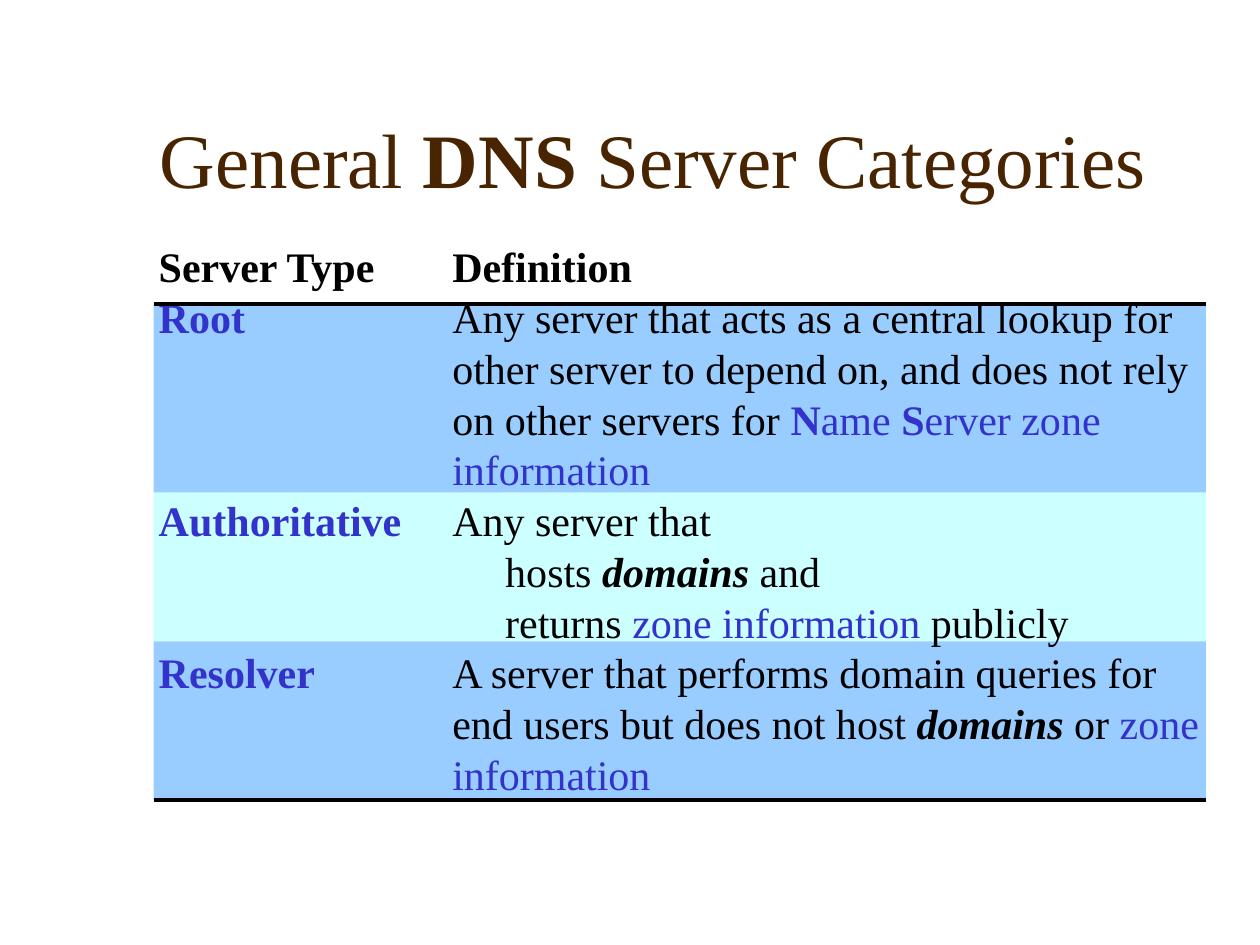
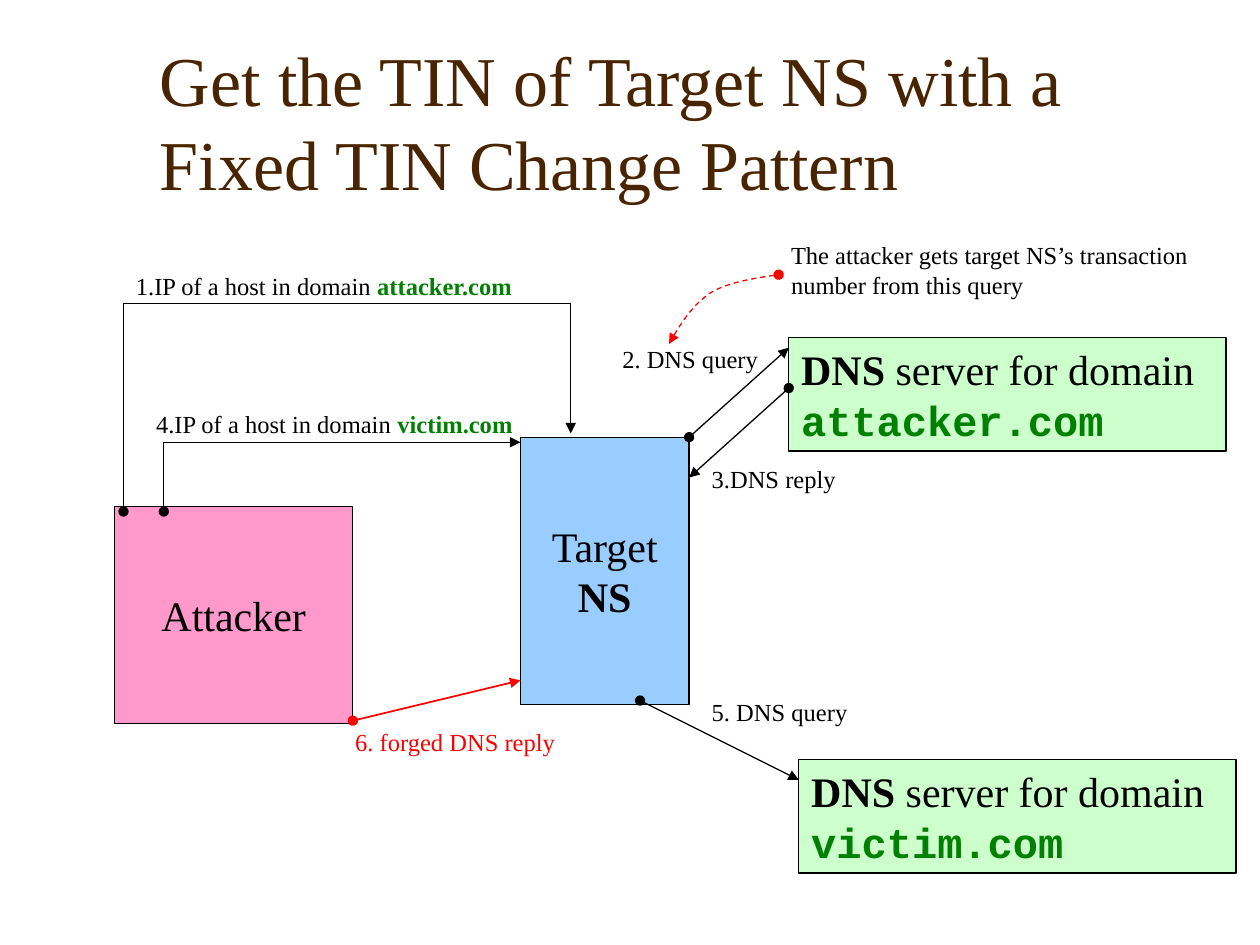
from itertools import pairwise

from lxml import etree
from pptx import Presentation
from pptx.dml.color import RGBColor
from pptx.enum.dml import MSO_LINE
from pptx.enum.shapes import MSO_CONNECTOR, MSO_SHAPE
from pptx.enum.text import MSO_ANCHOR, PP_ALIGN
from pptx.oxml.ns import qn
from pptx.util import Inches, Pt

RECTANGLE = MSO_SHAPE.RECTANGLE
STRAIGHT = MSO_CONNECTOR.STRAIGHT
DASH = MSO_LINE.DASH
TOP, BOTTOM = MSO_ANCHOR.TOP, MSO_ANCHOR.BOTTOM
LEFT, CENTER = PP_ALIGN.LEFT, PP_ALIGN.CENTER

SERIF, MONO = "Times New Roman", "Courier New"
BROWN, BLACK, RED = "482400", "000000", "FF0000"
INDIGO, GREEN = "3333CC", "008000"
SKY, AQUA, PINK, MINT = "99CCFF", "CCFFFF", "FF99CC", "CCFFCC"

TITLE_BOX = (1.17, 0.42, 8.5, 1.25)
BOLD = {"bold": True}
BOLD_ITALIC = {"bold": True, "italic": True}
ZONE = {"color": INDIGO}
TERM = {"color": INDIGO, "bold": True}
DOMAIN = {"color": GREEN, "bold": True}
HOST = {**DOMAIN, "name": MONO}


def rgb(value):
    return RGBColor.from_string(value)


def inches(*values):
    return [Inches(value) for value in values]


# Text: a run is a plain string or a (string, style) pair
def write_paragraph(paragraph, runs, size, color=BLACK, align=LEFT):
    paragraph.alignment = align
    paragraph.font.name = SERIF
    paragraph.font.size = Pt(size)
    paragraph.font.color.rgb = rgb(color)
    for item in runs:
        text, style = (item, {}) if isinstance(item, str) else item
        run = paragraph.add_run()
        run.text = text
        for key, value in style.items():
            if key == "color":
                run.font.color.rgb = rgb(value)
            else:
                setattr(run.font, key, value)


def set_frame(frame, margins=(0.1, 0.05, 0.1, 0.05), anchor=TOP):
    frame.word_wrap = True
    frame.vertical_anchor = anchor
    (frame.margin_left, frame.margin_top,
     frame.margin_right, frame.margin_bottom) = inches(*margins)


def add_text(slide, box, runs, size, color=BLACK, anchor=TOP):
    frame = slide.shapes.add_textbox(*inches(*box)).text_frame
    set_frame(frame, anchor=anchor)
    write_paragraph(frame.paragraphs[0], runs, size, color)


def add_title(slide, runs, size):
    add_text(slide, TITLE_BOX, runs, size, BROWN, BOTTOM)


# Shapes and lines
def add_rectangle(slide, box, fill, outline=None):
    shape = slide.shapes.add_shape(RECTANGLE, *inches(*box))
    shape.shadow.inherit = False
    shape.fill.solid()
    shape.fill.fore_color.rgb = rgb(fill)
    if outline:
        shape.line.color.rgb = rgb(outline)
        shape.line.width = Pt(0.75)
    else:
        shape.line.fill.background()
    return shape


def style_line(shape, color, width, start=None, end=None, dash=None):
    shape.line.color.rgb = rgb(color)
    shape.line.width = Pt(width)
    if dash:
        shape.line.dash_style = dash
    line = shape.element.spPr.find(qn("a:ln"))
    for tag, kind in (("a:headEnd", start), ("a:tailEnd", end)):
        if kind:
            etree.SubElement(line, qn(tag), type=kind)


def add_line(slide, start, end, color=BLACK, width=0.75, head=None, tail=None):
    connector = slide.shapes.add_connector(STRAIGHT, *inches(*start, *end))
    style_line(connector, color, width, head, tail)
    etree.SubElement(connector.element.spPr, qn("a:effectLst"))


def add_route(slide, points, color=BLACK, width=0.75):
    """Straight legs from a dot at the first point to an arrow at the last."""
    legs = list(pairwise(points))
    for index, (start, end) in enumerate(legs):
        add_line(slide, start, end, color, width,
                 head="oval" if index == 0 else None,
                 tail="triangle" if index == len(legs) - 1 else None)


def bezier_points(controls, steps=12):
    a, b, c, d = controls
    for step in range(1, steps + 1):
        t = step / steps
        u = 1 - t
        yield inches(*(u**3 * p + 3 * u * u * t * q + 3 * u * t * t * r + t**3 * s
                       for p, q, r, s in zip(a, b, c, d)))


def add_dashed_curve(slide, points):
    builder = slide.shapes.build_freeform(*inches(*points[0]))
    for index in range(0, len(points) - 1, 3):
        builder.add_line_segments(bezier_points(points[index:index + 4]), close=False)
    curve = builder.convert_to_shape()
    curve.shadow.inherit = False
    curve.fill.background()
    style_line(curve, RED, 0.75, "oval", "triangle", DASH)


# Server categories: bands, rules and a two-column list with hanging indents
CATEGORY_BANDS = [(SKY, 1.5), (AQUA, 1.18), (SKY, 1.26)]
DEFINITION_COLUMN, DETAIL_COLUMN = 2.33, 2.75
CATEGORY_ROWS = [
    (DEFINITION_COLUMN, [("Server Type\tDefinition", BOLD)]),
    (DEFINITION_COLUMN, [
        ("Root", TERM), "\tAny server that acts as a central lookup for other server "
        "to depend on, and does not rely on other servers for ",
        ("N", TERM), ("ame ", ZONE), ("S", TERM), ("erver zone information", ZONE)]),
    (DEFINITION_COLUMN, [("Authoritative", TERM), "\tAny server that"]),
    (DETAIL_COLUMN, ["hosts ", ("domains", BOLD_ITALIC), " and"]),
    (DETAIL_COLUMN, ["returns ", ("zone information", ZONE), " publicly"]),
    (DEFINITION_COLUMN, [
        ("Resolver", TERM), "\tA server that performs domain queries for end users "
        "but does not host ", ("domains", BOLD_ITALIC), " or ",
        ("zone information", ZONE)]),
]


def set_hanging_tab(paragraph, column, hanging):
    properties = paragraph._p.get_or_add_pPr()
    properties.set("marL", str(Inches(column)))
    properties.set("indent", str(-Inches(column) if hanging else 0))
    tabs = etree.SubElement(properties, qn("a:tabLst"))
    for position in (0, column):
        etree.SubElement(tabs, qn("a:tab"), pos=str(Inches(position)), algn="l")


def add_categories(slide, left, top, width):
    bottom = top
    for fill, height in CATEGORY_BANDS:
        add_rectangle(slide, (left, bottom, width, height), fill)
        bottom += height

    text_box = slide.shapes.add_textbox(*inches(left + 0.04, top - 0.5, width, 4.5))
    frame = text_box.text_frame
    set_frame(frame, margins=(0, 0, 0, 0))
    for index, (column, runs) in enumerate(CATEGORY_ROWS):
        paragraph = frame.add_paragraph() if index else frame.paragraphs[0]
        paragraph.line_spacing = Pt(29)
        set_hanging_tab(paragraph, column, hanging=column == DEFINITION_COLUMN)
        write_paragraph(paragraph, runs, 24)

    for y in (top, bottom):
        add_line(slide, (left, y), (left + width, y), width=2.25)


# Attack diagram: nodes, labels and arrows, measured from the diagram's corner
SERVER_TEXT = [("DNS", BOLD), " server for domain "]
NODES = [  # box, fill, runs, alignment, top margin
    ((3.22, 1.61, 1.34, 2.12), SKY, ["Target ", ("NS", BOLD)], CENTER, 0.66),
    ((5.35, 0.82, 3.47, 0.9), MINT, [*SERVER_TEXT, ("attacker.com", HOST)], LEFT, 0.05),
    ((0, 2.16, 1.89, 1.72), PINK, ["Attacker"], CENTER, 0.66),
    ((5.43, 4.17, 3.47, 0.9), MINT, [*SERVER_TEXT, ("victim.com", HOST)], LEFT, 0.05),
]
LABELS = [  # left, top, width, runs, colour
    (0.07, 0.24, 3.39, ["1.IP of a host in domain ", ("attacker.com", DOMAIN)], BLACK),
    (3.93, 0.82, 1.42, ["2. DNS query"], BLACK),
    (4.64, 1.77, 1.26, ["3.DNS reply"], BLACK),
    (0.23, 1.34, 3.39, ["4.IP of a host in domain ", ("victim.com", DOMAIN)], BLACK),
    (4.64, 3.62, 1.42, ["5. DNS query"], BLACK),
    (1.81, 3.86, 1.89, ["6. forged DNS reply"], RED),
    (5.27, 0, 3.54, ["The attacker gets target NS’s transaction number "
                     "from this query"], BLACK),
]
ROUTES = [  # points, colour, width
    ([(0.07, 2.2), (0.07, 0.55), (3.62, 0.55), (3.62, 1.58)], BLACK, 0.75),
    ([(4.56, 1.61), (5.35, 0.9)], BLACK, 0.75),
    ([(5.35, 1.22), (4.56, 1.93)], BLACK, 0.75),
    ([(0.39, 2.2), (0.39, 1.65), (3.22, 1.65)], BLACK, 0.75),
    ([(4.17, 3.7), (5.43, 4.33)], BLACK, 0.75),
    ([(1.89, 3.86), (3.22, 3.54)], RED, 1),
]
NOTE_CURVE = [(5.27, 0.32), (5.07, 0.35), (4.86, 0.38), (4.72, 0.47),
              (4.58, 0.57), (4.49, 0.71), (4.4, 0.87)]


def add_attack_diagram(slide, left, top):
    def shift(points):
        return [(left + x, top + y) for x, y in points]

    for (x, y, width, height), fill, runs, align, margin_top in NODES:
        node = add_rectangle(slide, (left + x, top + y, width, height), fill, BLACK)
        set_frame(node.text_frame, margins=(0.1, margin_top, 0.1, 0.05))
        write_paragraph(node.text_frame.paragraphs[0], runs, 24, align=align)
    for x, y, width, runs, color in LABELS:
        add_text(slide, (left + x, top + y, width, 0.34), runs, 14, color)
    for points, color, width in ROUTES:
        add_route(slide, shift(points), color, width)
    add_dashed_curve(slide, shift(NOTE_CURVE))


def main():
    presentation = Presentation()
    presentation.slide_width, presentation.slide_height = inches(10, 7.5)
    blank = presentation.slide_layouts[6]

    slide = presentation.slides.add_slide(blank)
    add_title(slide, ["General ", ("DNS", BOLD), " Server Categories"], 44)
    add_categories(slide, left=1.22, top=2.41, width=8.35)

    slide = presentation.slides.add_slide(blank)
    add_title(slide, ["Get the TIN of Target NS with a Fixed TIN Change Pattern"], 40)
    add_attack_diagram(slide, left=0.91, top=1.86)

    presentation.save("out.pptx")


if __name__ == "__main__":
    main()
